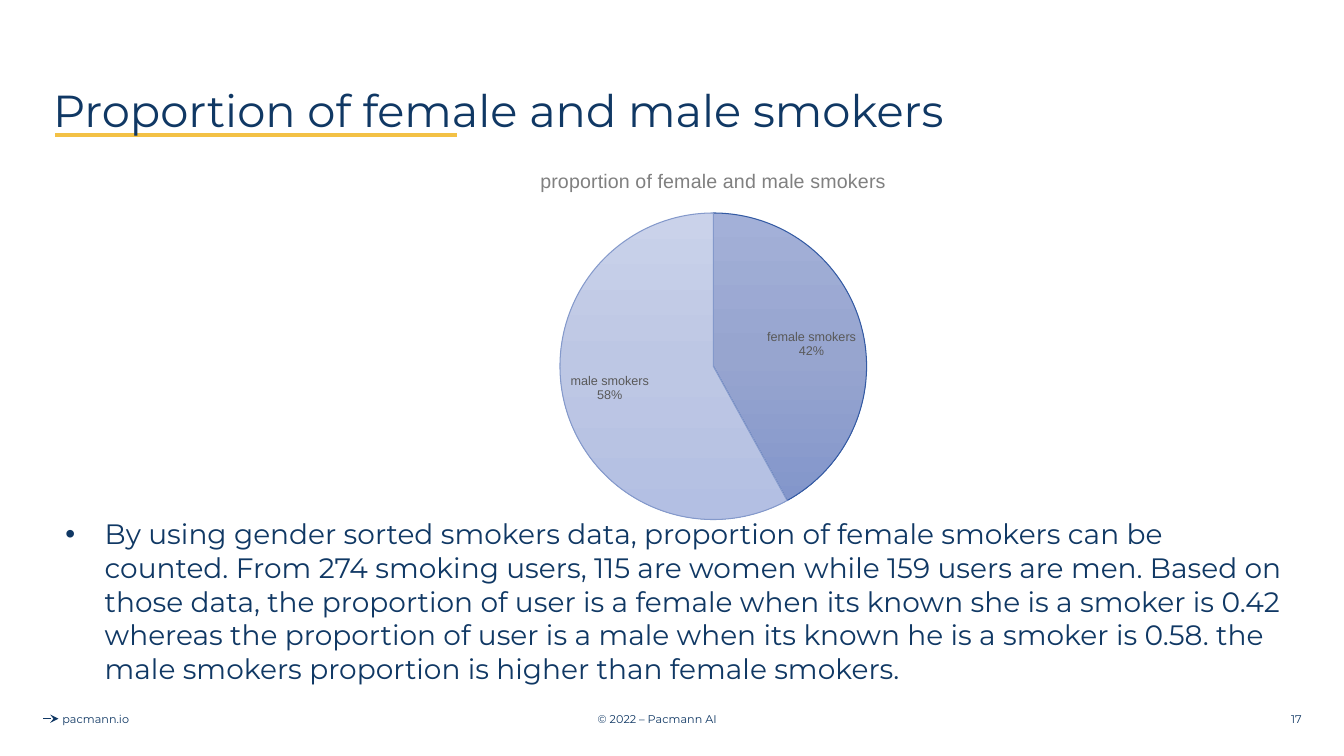
"""Build the slide on the proportion of female and male smokers."""
import pptx
import pptx.chart.data
import pptx.dml.color
import pptx.enum.chart
import pptx.enum.shapes
import pptx.enum.text
import pptx.oxml
import pptx.oxml.ns
import pptx.util

Inches, Pt = pptx.util.Inches, pptx.util.Pt
ALIGN = pptx.enum.text.PP_ALIGN
ANCHOR = pptx.enum.text.MSO_ANCHOR

NAVY, GOLD = "103864", "F3C145"
TITLE = "Proportion of female and male smokers"
BODY = (
    "By using gender sorted smokers data, proportion of female smokers can be counted. "
    "From 274 smoking users, 115 are women while 159 users are men. "
    "Based on those data, the proportion of user is a female when its known she is a smoker is 0.42 "
    "whereas the proportion of user is a male when its known he is a smoker is 0.58. "
    "the male smokers proportion is higher than female smokers."
)
FOOT = [
    ("pacmann.io", 0.2, 1.5, ALIGN.CENTER),
    ("© 2022 – Pacmann AI", 4.27, 4.5, ALIGN.CENTER),
    ("17", 10.01, 3, ALIGN.RIGHT),
]
PIE_NAME = "proportion of female and male smokers"
SLICES = [
    ("female smokers", 42, ("A3B0D8", "97A5CF", "8396CB"), "335AA3"),
    ("male smokers", 58, ("CAD2EA", "BDC7E4", "B3BFE3"), "8499CB"),
]
PIE_BOX = (4.15, 1.51, 5.85, 3.76)
PLOT = {"x": 0.24, "y": 0.16, "w": 0.52, "h": 0.81}


def color(code):
    return pptx.dml.color.RGBColor.from_string(code)


def style(font, size, code, name="Montserrat"):
    font.size, font.name, font.bold = Pt(size), name, False
    font.color.rgb = color(code)


def node(text):
    return pptx.oxml.parse_xml(text.replace(">", " " + pptx.oxml.ns.nsdecls("a", "c") + ">", 1))


def write(slide, text, box, size, align=ALIGN.LEFT, anchor=ANCHOR.MIDDLE):
    frame = slide.shapes.add_textbox(*map(Inches, box)).text_frame
    frame.word_wrap, frame.vertical_anchor = True, anchor
    frame.text = text
    para = frame.paragraphs[0]
    para.alignment = align
    style(para.runs[0].font, size, NAVY)
    return para


def rule(slide, left, right, y, code, width):
    line = slide.shapes.add_connector(
        pptx.enum.shapes.MSO_CONNECTOR.STRAIGHT, *map(Inches, (left, y, right, y)))
    line.line.color.rgb, line.line.width = color(code), Pt(width)
    line._element.spPr.append(node("<a:effectLst></a:effectLst>"))
    return line


def bullet(para):
    props = para._p.get_or_add_pPr()
    props.set("marL", str(Inches(0.5)))
    props.set("indent", str(Inches(-0.39)))
    for part in (
        f'<a:buClr><a:srgbClr val="{NAVY}"/></a:buClr>',
        '<a:buFont typeface="Arial"></a:buFont>',
        '<a:buChar char="•"></a:buChar>',
    ):
        props.append(node(part))


def shade(point, stops, edge):
    point.format.line.color.rgb, point.format.line.width = color(edge), Pt(0.75)
    marks = "".join(
        f'<a:gs pos="{i * 50000}"><a:srgbClr val="{code}"/></a:gs>' for i, code in enumerate(stops))
    grad = node(f'<a:gradFill><a:gsLst>{marks}</a:gsLst><a:lin ang="5400000" scaled="0"/></a:gradFill>')
    return grad


def draw_pie(slide):
    data = pptx.chart.data.CategoryChartData(number_format="0")
    data.categories = [item[0] for item in SLICES]
    data.add_series(PIE_NAME, [item[1] for item in SLICES])
    chart = slide.shapes.add_chart(
        pptx.enum.chart.XL_CHART_TYPE.PIE, *map(Inches, PIE_BOX), data).chart
    style(chart.font, 10, "000000", "Arial")
    chart.has_legend, chart.has_title = False, True
    head = chart.chart_title.text_frame
    head.text = PIE_NAME
    style(head.paragraphs[0].runs[0].font, 14, "808080", "Arial")
    plot = chart.plots[0]
    plot.vary_by_categories = True
    for i, (_, _, stops, edge) in enumerate(SLICES):
        grad = shade(plot.series[0].points[i], stops, edge)
        chart._chartSpace.xpath(".//c:dPt/c:spPr")[i].insert(0, grad)
    plot.has_data_labels = True
    tags = plot.data_labels
    tags.show_category_name = tags.show_percentage = True
    tags.show_value = False
    tags.number_format, tags.number_format_is_linked = "0%", False
    tags.position = pptx.enum.chart.XL_LABEL_POSITION.INSIDE_END
    style(tags.font, 9, "595959", "Arial")
    tags._element.xpath("c:showBubbleSize")[0].addnext(node("<c:separator>\n</c:separator>"))
    area = chart._chartSpace.xpath(".//c:plotArea")[0]
    for old in area.xpath("c:layout"):
        area.remove(old)
    parts = '<c:layoutTarget val="inner"/><c:xMode val="edge"/><c:yMode val="edge"/>'
    parts += "".join(f'<c:{key} val="{val}"/>' for key, val in PLOT.items())
    area.insert(0, node(f"<c:layout><c:manualLayout>{parts}</c:manualLayout></c:layout>"))


def main():
    deck = pptx.Presentation()
    deck.slide_width, deck.slide_height = Inches(13.33), Inches(7.5)
    slide = deck.slides.add_slide(deck.slide_layouts[6])
    arrow = rule(slide, 0.43, 0.58, 7.13, NAVY, 0.75)
    arrow.line._get_or_add_ln().append(node('<a:tailEnd type="stealth"></a:tailEnd>'))
    for text, left, width, align in FOOT:
        write(slide, text, (left, 6.93, width, 0.4), 8, align)
    rule(slide, 0.55, 4.53, 1.34, GOLD, 2.25)
    write(slide, TITLE, (0.43, 0.4, 12.47, 1.45), 32).line_spacing = 0.9
    bullet(write(slide, BODY, (0.44, 5.08, 12.46, 1.8), 20, anchor=ANCHOR.TOP))
    draw_pie(slide)
    deck.save("out.pptx")


if __name__ == "__main__":
    main()
